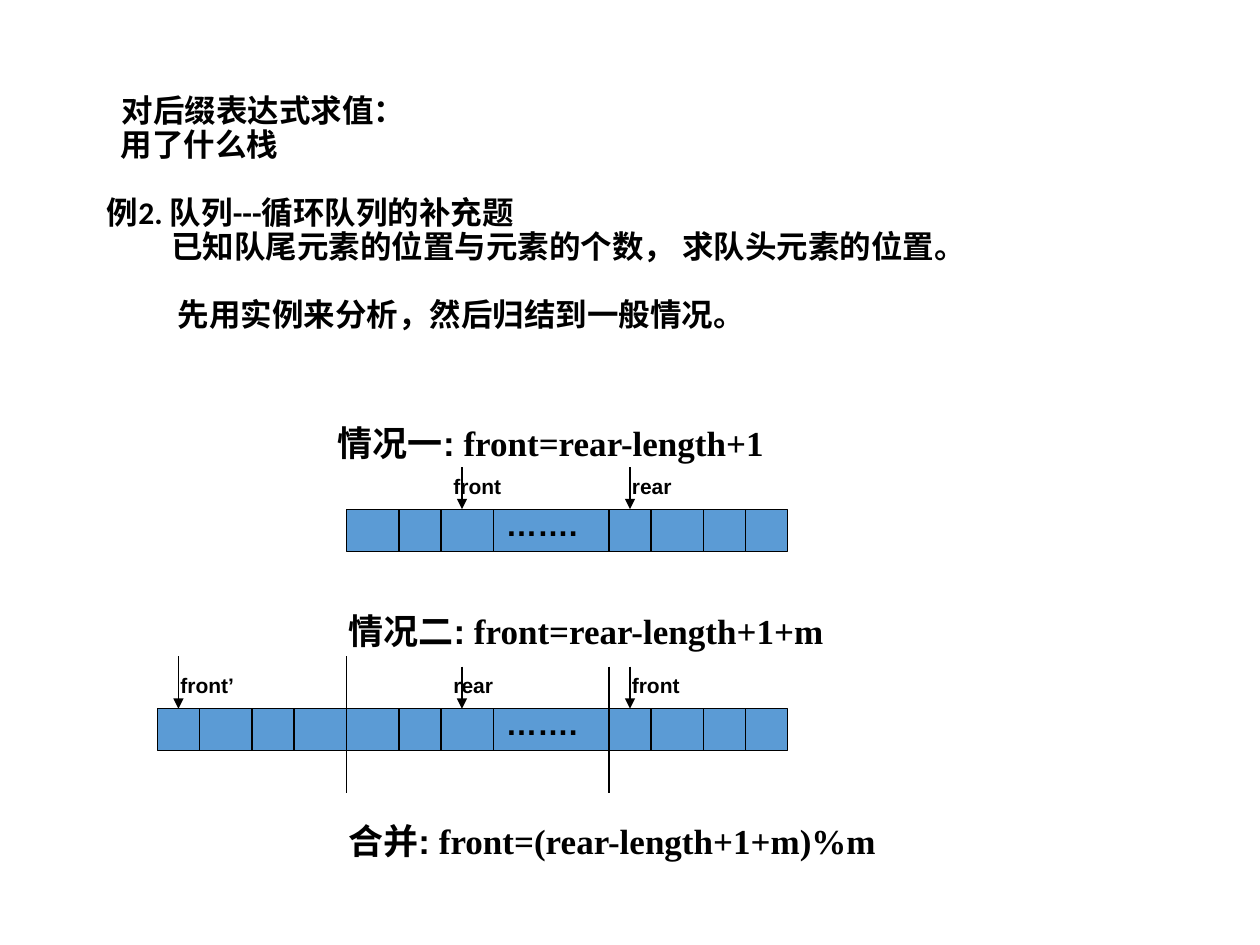
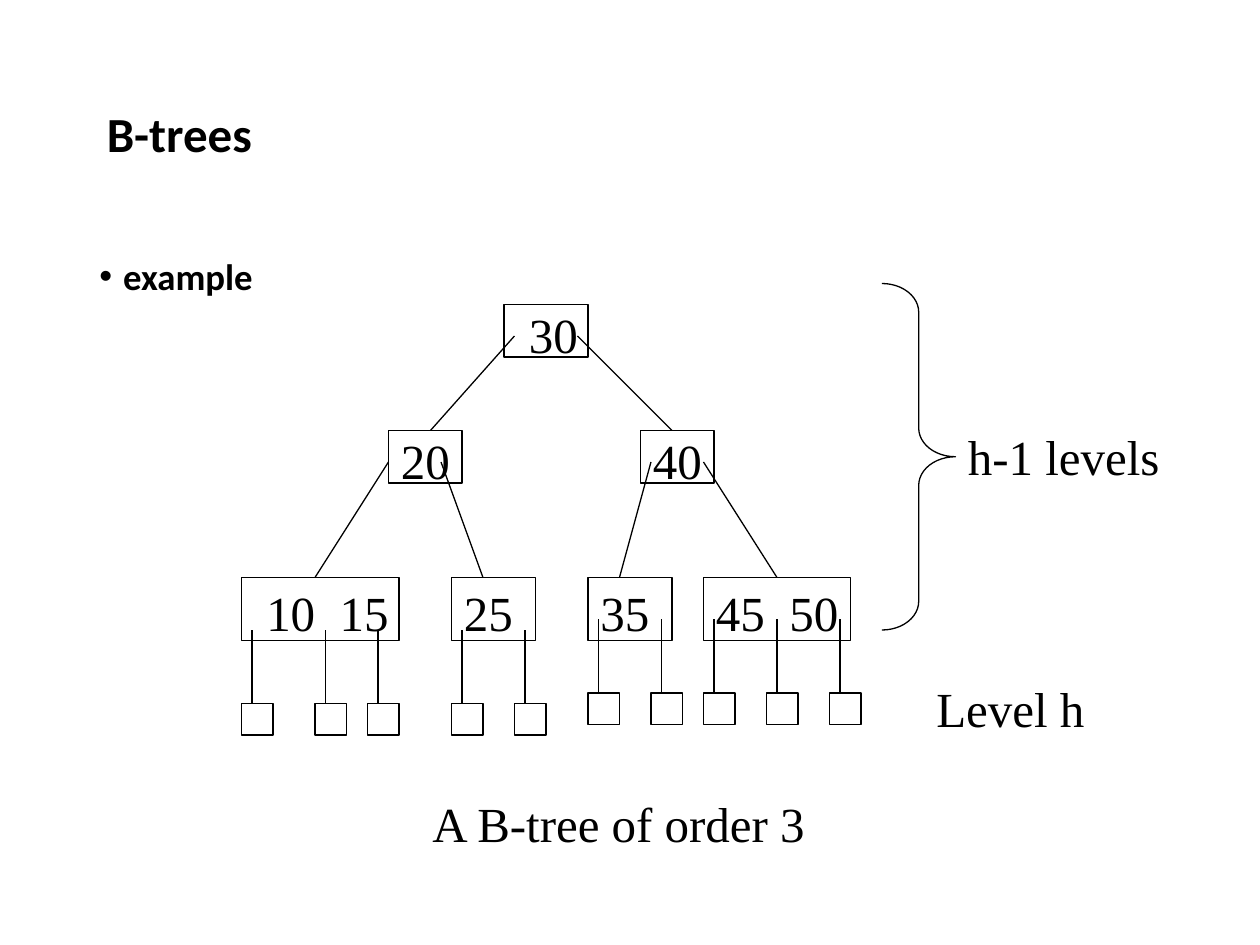
from pptx import Presentation
from pptx.dml.color import RGBColor
from pptx.enum.dml import MSO_THEME_COLOR
from pptx.enum.shapes import MSO_CONNECTOR, MSO_SHAPE
from pptx.enum.text import MSO_ANCHOR, MSO_AUTO_SIZE, PP_ALIGN
from pptx.oxml.ns import qn
from pptx.util import Cm, Pt
from lxml import etree

RECTANGLE = MSO_SHAPE.RECTANGLE
RIGHT_BRACE = MSO_SHAPE.RIGHT_BRACE
STRAIGHT = MSO_CONNECTOR.STRAIGHT
TOP, MIDDLE = MSO_ANCHOR.TOP, MSO_ANCHOR.MIDDLE
LEFT = PP_ALIGN.LEFT
NO_AUTOFIT = MSO_AUTO_SIZE.NONE

COLORS = {"ink": "000000", "cell": "5B9BD5"}
FORMATS = {
    "analysis": {"name": "Calibri", "size": Pt(18), "bold": True},
    "title": {"name": "Calibri", "size": Pt(28), "bold": True},
    "bullet": {"name": "Calibri", "size": Pt(21), "bold": True},
    "case": {"name": "Arial", "size": Pt(20), "bold": True},
    "formula": {"name": "Times New Roman", "size": Pt(20), "bold": True},
    "dots": {"name": "Arial", "size": Pt(18), "bold": True},
    "pointer": {"name": "Arial", "size": Pt(12), "bold": True},
    "tree": {"name": "Times New Roman", "size": Pt(28), "bold": False},
}

TWELFTH = 2.54 / 12
DIVIDERS = (38, 42, 47, 58, 62, 67, 71)

ANALYSIS = (
    ("对后缀表达式求值：", 0.3, 0),
    ("用了什么栈", 0.28, 0),
    ("例2.\t队列---循环队列的补充题", 0, 19.5),
    ("已知队尾元素的位置与元素的个数， 求队头元素的位置。", 1.3, 0),
    ("先用实例来分析，然后归结到一般情况。", 1.43, 19.5),
)
NODES = (
    ("30", 48, 29, 8, 5, 0.5),
    ("20", 37, 41, 7, 5, 0.25),
    ("40", 61, 41, 7, 5, 0.25),
    ("10\t15", 23, 55, 15, 6, 0.5),
    ("25", 43, 55, 8, 6, 0.25),
    ("35", 56, 55, 8, 6, 0.25),
    ("45\t50", 67, 55, 14, 6, 0.25),
)
EDGES = (
    (49, 32, 41, 41), (55, 32, 64, 41),
    (37, 44, 30, 55), (42, 44, 46, 55),
    (62, 44, 59, 55), (67, 44, 74, 55),
)
LEAVES = {67: (23, 30, 35, 43, 49), 66: (56, 62, 67, 73, 79)}


def grid(*steps):
    return [Cm(step * TWELFTH) for step in steps]


def rgb(key):
    return RGBColor.from_string(COLORS[key])


def write(paragraph, text, style):
    run = paragraph.add_run()
    run.text = text
    for attribute, value in FORMATS[style].items():
        setattr(run.font, attribute, value)
    run.font.color.rgb = rgb("ink")


def add_tab_stop(paragraph, position):
    stops = etree.SubElement(paragraph._p.get_or_add_pPr(), qn("a:tabLst"))
    etree.SubElement(stops, qn("a:tab"), pos=str(position), algn="l")


def set_indent(paragraph, left, first=0):
    properties = paragraph._p.get_or_add_pPr()
    properties.set("marL", str(Cm(left)))
    properties.set("indent", str(Cm(first)))


def place(placeholder, left, top, width, height, anchor):
    placeholder.left, placeholder.top = Cm(left), Cm(top)
    placeholder.width, placeholder.height = Cm(width), Cm(height)
    frame = placeholder.text_frame
    frame.auto_size = NO_AUTOFIT
    frame.vertical_anchor = anchor
    paragraph = frame.paragraphs[0]
    paragraph.alignment = LEFT
    paragraph.line_spacing = 0.9
    paragraph.space_before = Pt(0)
    return frame


def add_line(slide, x1, y1, x2, y2, arrow=False):
    line = slide.shapes.add_connector(STRAIGHT, *grid(x1, y1, x2, y2))
    line.line.color.rgb = rgb("ink")
    line.line.width = Pt(0.75)
    if arrow:
        etree.SubElement(line.line._get_or_add_ln(), qn("a:tailEnd"), type="triangle")
    etree.SubElement(line._element.spPr, qn("a:effectLst"))


def add_outline(slide, x, y, width, height, fill=None, preset=RECTANGLE):
    outline = slide.shapes.add_shape(preset, *grid(x, y, width, height))
    outline.shadow.inherit = False
    outline.line.color.rgb = rgb("ink")
    outline.line.width = Pt(0.75)
    if fill:
        outline.fill.solid()
        outline.fill.fore_color.rgb = rgb(fill)
    else:
        outline.fill.background()
    return outline


def add_label(slide, x, y, width, height, *pieces):
    label = slide.shapes.add_textbox(*grid(x, y, width, height))
    label.text_frame.word_wrap = True
    for text, style in pieces:
        write(label.text_frame.paragraphs[0], text, style)


def add_case(slide, x, y, width, name, formula):
    add_label(slide, x, y, width, 5.3, (name, "case"), (" " + formula, "formula"))


def add_cells(slide, x, y, width, dividers):
    add_outline(slide, x, y, width, 4, "cell")
    for divider in dividers:
        add_line(slide, divider, y, divider, y + 4)


def add_pointer(slide, name, arrow_x, label_x, cells_y, length=4):
    add_line(slide, arrow_x, cells_y - length, arrow_x, cells_y, arrow=True)
    add_label(slide, label_x, cells_y - 4, 8, 3.6, (name, "pointer"))


def add_queue(slide, y, left_name, right_name):
    add_cells(slide, 33, y, 42, DIVIDERS)
    add_label(slide, 47, y - 1, 11, 4.8, ("…….", "dots"))
    add_pointer(slide, left_name, 44, 42, y)
    add_pointer(slide, right_name, 60, 59, y)


def add_node(slide, keys, x, y, width, height, inset):
    frame = add_outline(slide, x, y, width, height).text_frame
    frame.word_wrap = True
    frame.vertical_anchor = MIDDLE
    frame.margin_left, frame.margin_right = Cm(inset), 0
    frame.margin_top, frame.margin_bottom = Cm(0.13), 0
    paragraph = frame.paragraphs[0]
    paragraph.alignment = LEFT
    if "\t" in keys:
        add_tab_stop(paragraph, Cm(1.48))
    write(paragraph, keys, "tree")


def add_leaf(slide, x, y):
    add_outline(slide, x, y, 3, 3)
    add_line(slide, x + 1, y - 7, x + 1, y)


def build_queue_slide(deck):
    slide = deck.slides.add_slide(deck.slide_layouts[5])
    frame = place(slide.shapes.title, 1.9, 1.12, 21.6, 7, TOP)
    frame.margin_top = Cm(0.8)
    for index, (text, indent, gap) in enumerate(ANALYSIS):
        paragraph = frame.add_paragraph() if index else frame.paragraphs[0]
        paragraph.alignment = LEFT
        paragraph.line_spacing = 0.9
        paragraph.space_before = Pt(gap)
        set_indent(paragraph, indent)
        if "\t" in text:
            add_tab_stop(paragraph, Cm(1.7))
        write(paragraph, text, "analysis")

    add_queue(slide, 48.5, "front", "rear")
    add_case(slide, 31, 39.6, 52, "情况一:", "front=rear-length+1")

    add_queue(slide, 67.5, "rear", "front")
    add_case(slide, 32, 57.5, 52, "情况二:", "front=rear-length+1+m")
    add_cells(slide, 15, 67.5, 18, (19, 24, 28))
    add_pointer(slide, "front’", 17, 16, 67.5, 5)
    add_line(slide, 33, 62.5, 33, 75.5)
    add_line(slide, 58, 63.5, 58, 75.5)
    add_case(slide, 32, 77.5, 59, "合并:", "front=(rear-length+1+m)%m")


def build_tree_slide(deck):
    slide = deck.slides.add_slide(deck.slide_layouts[1])
    heading = place(slide.shapes.title, 1.9, 1.7, 21.6, 2.1, MIDDLE)
    write(heading.paragraphs[0], "B-trees", "title")
    example = place(slide.placeholders[1], 1.75, 5.08, 21.92, 12.1, TOP)
    set_indent(example.paragraphs[0], 0.48, -0.48)
    write(example.paragraphs[0], "example", "bullet")

    for node in NODES:
        add_node(slide, *node)
    for edge in EDGES:
        add_line(slide, *edge)
    for y, columns in LEAVES.items():
        for x in columns:
            add_leaf(slide, x, y)

    brace = add_outline(slide, 84, 27, 7, 33, preset=RIGHT_BRACE)
    brace.adjustments[0] = 0.39
    add_label(slide, 91, 40, 25, 6.8, ("h-1 levels", "tree"))
    add_label(slide, 88, 64, 23, 6.8, ("Level h", "tree"))
    add_label(slide, 40, 75, 44, 6.8, ("A B-tree of order 3", "tree"))


def main():
    deck = Presentation()
    deck.slide_width, deck.slide_height = Cm(25.4), Cm(19.05)
    build_queue_slide(deck)
    build_tree_slide(deck)
    deck.save("out.pptx")


if __name__ == "__main__":
    main()
